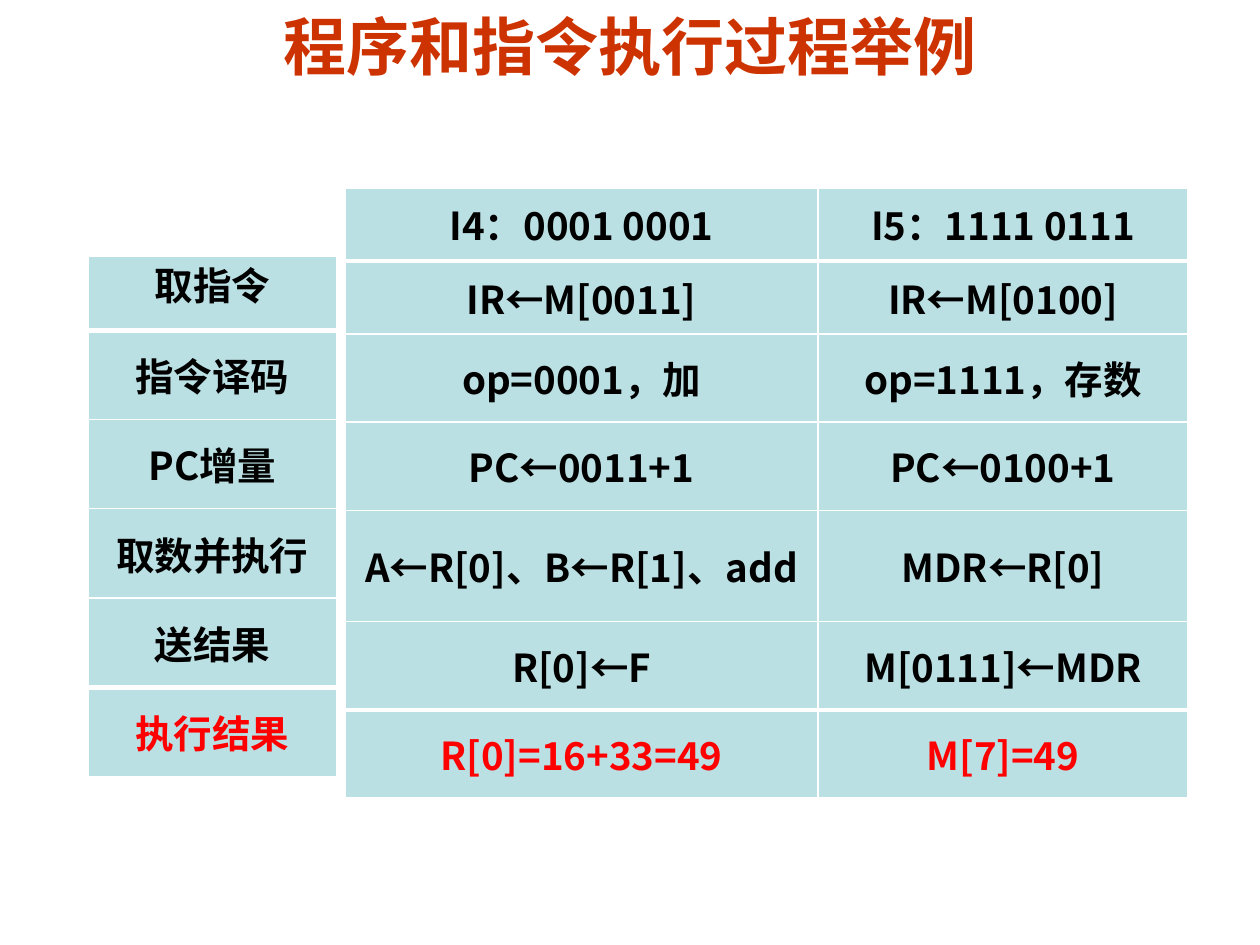
"""Build a slide that traces two instructions through the steps of the CPU cycle."""
from lxml import etree
from pptx import Presentation
from pptx.dml.color import RGBColor
from pptx.enum import text
from pptx.oxml import ns
from pptx import util as u

ORANGE = RGBColor(0xCC, 0x33, 0x00)
BLACK = RGBColor(0x00, 0x00, 0x00)
RED = RGBColor(0xFF, 0x00, 0x00)
WHITE = RGBColor(0xFF, 0xFF, 0xFF)
PALE_TEAL = RGBColor(0xBB, 0xE0, 0xE3)
CJK_FONT = "Noto Sans CJK SC"

STEPS = [["取指令"], ["指令译码"], ["PC增量"], ["取数并执行"], ["送结果"], ["执行结果"]]
TRACES = [
    ["I4：0001 0001", "I5：1111 0111"],
    ["IR←M[0011]", "IR←M[0100]"],
    ["op=0001，加", "op=1111，存数"],
    ["PC←0011+1", "PC←0100+1"],
    ["A←R[0]、B←R[1]、add", "MDR←R[0]"],
    ["R[0]←F", "M[0111]←MDR"],
    ["R[0]=16+33=49", "M[7]=49"],
]


def write(tf, content, size=22, color=BLACK, font=CJK_FONT):
    p = tf.paragraphs[0]
    p.alignment = text.PP_ALIGN.CENTER
    r = p.add_run()
    r.text = content
    r.font.size, r.font.bold, r.font.name = u.Pt(size), True, font
    r.font.color.rgb = color
    etree.SubElement(r.font._element, ns.qn("a:ea"), typeface=CJK_FONT)


class SlideBuilder:
    def __init__(self, prs, fill=PALE_TEAL, border=WHITE):
        self.s = prs.slides.add_slide(prs.slide_layouts[6])
        self.fill, self.border = fill, border

    def title(self, content, x, y, w, h):
        tf = self.s.shapes.add_textbox(u.Pt(x), u.Pt(y), u.Pt(w), u.Pt(h)).text_frame
        tf.word_wrap = True
        tf.margin_top = tf.margin_bottom = 0
        tf.vertical_anchor = text.MSO_ANCHOR.TOP
        write(tf, content, size=36, color=ORANGE, font="Arial")

    def borders(self, cell, **widths):
        tc_pr = cell._tc.get_or_add_tcPr()
        for i, (side, width) in enumerate(widths.items()):
            ln = etree.Element(ns.qn(f"a:ln{side}"), w=str(u.Pt(width)))
            fill = etree.SubElement(ln, ns.qn("a:solidFill"))
            etree.SubElement(fill, ns.qn("a:srgbClr"), val=str(self.border))
            tc_pr.insert(i, ln)

    def table(self, rows, x, y, widths, heights, margin):
        frame = self.s.shapes.add_table(len(rows), len(widths), u.Pt(x), u.Pt(y),
                                        u.Pt(sum(widths)), u.Pt(sum(heights)))
        table = frame.table
        table.first_row = table.horz_banding = False
        for column, width in zip(table.columns, widths):
            column.width = u.Pt(width)
        last = len(rows) - 1
        for i, (row, height) in enumerate(zip(rows, heights)):
            table.rows[i].height = u.Pt(height)
            for j, content in enumerate(row):
                cell = table.cell(i, j)
                cell.margin_left = cell.margin_right = u.Pt(margin)
                cell.margin_top = cell.margin_bottom = 0
                cell.vertical_anchor = text.MSO_ANCHOR.MIDDLE
                cell.fill.solid()
                cell.fill.fore_color.rgb = self.fill
                self.borders(cell, L=1, R=1, T=3 if i in (1, last) else 1,
                             B=3 if i in (0, last - 1) else 1)
                write(cell.text_frame, content, color=RED if i == last else BLACK)
        return table


def main():
    prs = Presentation()
    prs.slide_width, prs.slide_height = u.Pt(720), u.Pt(540)
    b = SlideBuilder(prs)
    b.title("程序和指令执行过程举例", 36, 4.3, 648, 44)
    steps = b.table(STEPS, 50.4, 146.2, [141.8], [42.5] + [51] * 5, 1.4)
    steps.cell(0, 0).vertical_anchor = text.MSO_ANCHOR.TOP
    trace_heights = [41.8] * 2 + [50.4] * 2 + [63.6] + [50.4] * 2
    b.table(TRACES, 197.3, 107.3, [270, 211.7], trace_heights, 5)
    prs.save("out.pptx")


if __name__ == "__main__":
    main()
